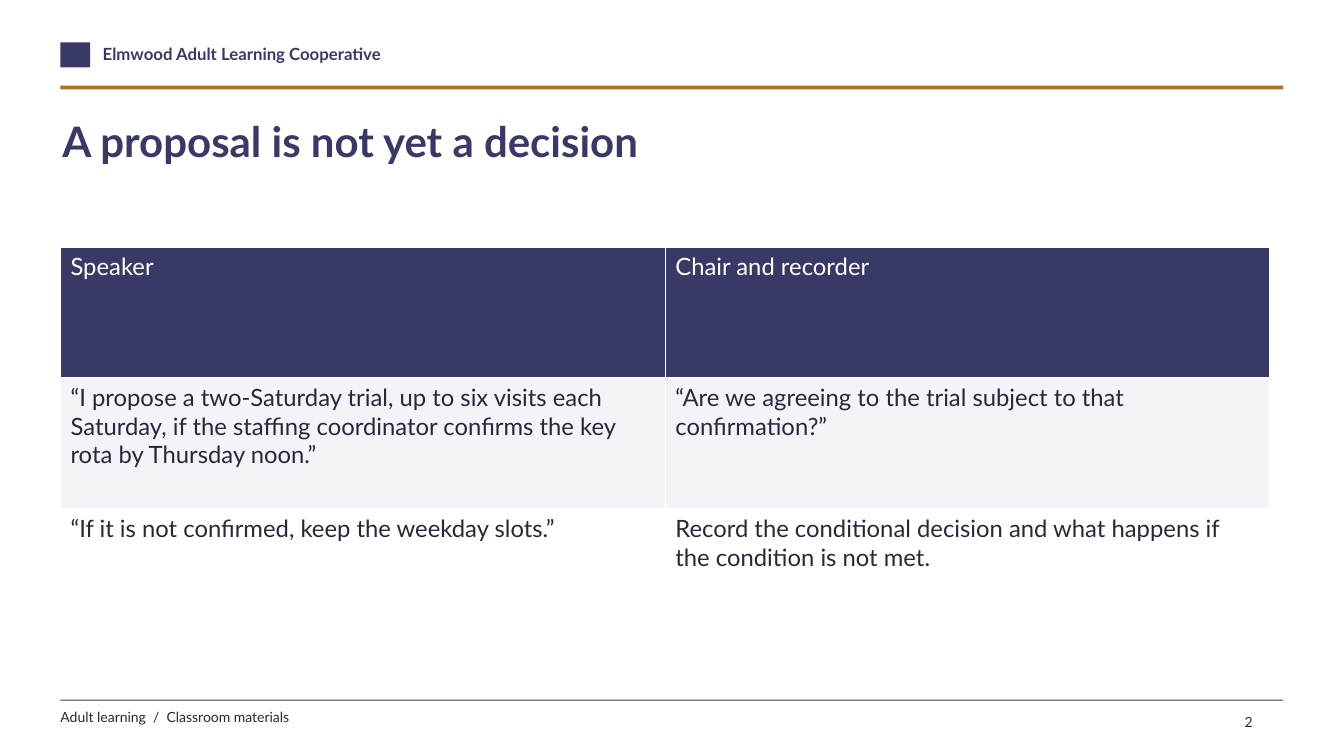
"""Build the slide that tells a proposal apart from a decision."""
from dataclasses import dataclass

from pptx import Presentation
from pptx.dml.color import RGBColor
from pptx.enum.shapes import MSO_SHAPE as Preset
from pptx.slide import Slide
from pptx.text.text import TextFrame
from pptx.util import Pt

INDIGO = RGBColor(0x39, 0x39, 0x67)
OCHRE = RGBColor(0xA8, 0x73, 0x23)
INK = RGBColor(0x29, 0x28, 0x3A)
PALE = RGBColor(0xF4, 0xF3, 0xF7)
WHITE = RGBColor(0xFF, 0xFF, 0xFF)

FONT = "Lato"
MARGIN = 43.2
RULE_WIDTH = 873.4
COLUMN_WIDTH = 432
ROW_HEIGHT = 93.6


@dataclass(frozen=True)
class Block:
    left: float
    top: float
    width: float
    height: float
    color: RGBColor


@dataclass(frozen=True)
class Label:
    text: str
    left: float
    top: float
    width: float
    height: float
    size: float
    color: RGBColor = INK
    bold: bool = False
    inset: tuple[float, float] = (0, 0)
    space_after: float = 0


@dataclass(frozen=True)
class Row:
    cells: tuple[str, str]
    fill: RGBColor
    color: RGBColor = INK


BLOCKS = [
    Block(MARGIN, 30.2, 21.3, 18, INDIGO),
    Block(MARGIN, 61.2, RULE_WIDTH, 2.6, OCHRE),
    Block(MARGIN, 499.7, RULE_WIDTH, 0.7, INDIGO),
]
LABELS = [
    Label("Elmwood Adult Learning Cooperative", 73.4, 31, 432, 20, 12, INDIGO, True, space_after=4),
    Label("Adult learning  /  Classroom materials", MARGIN, 506.2, 504, 16.6, 10, space_after=4),
    Label("A proposal is not yet a decision", 44.6, 82.8, 864, 75.6, 30, INDIGO, True),
    Label("2", 882, 506.2, 32.4, 18, 10, inset=(7.2, 3.6)),
]
ROWS = [
    Row(("Speaker", "Chair and recorder"), INDIGO, WHITE),
    Row((
        "“I propose a two-Saturday trial, up to six visits each Saturday, "
        "if the staffing coordinator confirms the key rota by Thursday noon.”",
        "“Are we agreeing to the trial subject to that confirmation?”",
    ), PALE),
    Row((
        "“If it is not confirmed, keep the weekday slots.”",
        "Record the conditional decision and what happens if the condition is not met.",
    ), WHITE),
]


def write(frame: TextFrame, text: str, *, size: float, color: RGBColor,
          bold: bool = False, space_after: float = 0) -> None:
    paragraph = frame.paragraphs[0]
    paragraph.space_after = Pt(space_after)
    run = paragraph.add_run()
    run.text = text
    run.font.name = FONT
    run.font.size = Pt(size)
    run.font.bold = bold
    run.font.color.rgb = color


def draw_block(slide: Slide, block: Block) -> None:
    bar = slide.shapes.add_shape(
        Preset.RECTANGLE, Pt(block.left), Pt(block.top), Pt(block.width), Pt(block.height))
    bar.shadow.inherit = False
    bar.fill.solid()
    bar.fill.fore_color.rgb = block.color
    bar.line.fill.background()


def draw_label(slide: Slide, label: Label) -> None:
    frame = slide.shapes.add_textbox(
        Pt(label.left), Pt(label.top), Pt(label.width), Pt(label.height)).text_frame
    frame.word_wrap = True
    frame.margin_left = frame.margin_right = Pt(label.inset[0])
    frame.margin_top = frame.margin_bottom = Pt(label.inset[1])
    write(frame, label.text, size=label.size, color=label.color,
          bold=label.bold, space_after=label.space_after)


def draw_phrase_table(slide: Slide, rows: list[Row]) -> None:
    phrases = slide.shapes.add_table(
        len(rows), 2, Pt(MARGIN), Pt(176.4),
        Pt(2 * COLUMN_WIDTH), Pt(len(rows) * ROW_HEIGHT)).table
    for row_index, row in enumerate(rows):
        for column_index, text in enumerate(row.cells):
            cell = phrases.cell(row_index, column_index)
            cell.fill.solid()
            cell.fill.fore_color.rgb = row.fill
            write(cell.text_frame, text, size=17, color=row.color)


def main() -> None:
    deck = Presentation()
    deck.slide_width, deck.slide_height = Pt(960), Pt(540)
    slide = deck.slides.add_slide(deck.slide_layouts[6])
    for block in BLOCKS:
        draw_block(slide, block)
    for label in LABELS:
        draw_label(slide, label)
    draw_phrase_table(slide, ROWS)
    deck.save("out.pptx")


if __name__ == "__main__":
    main()
